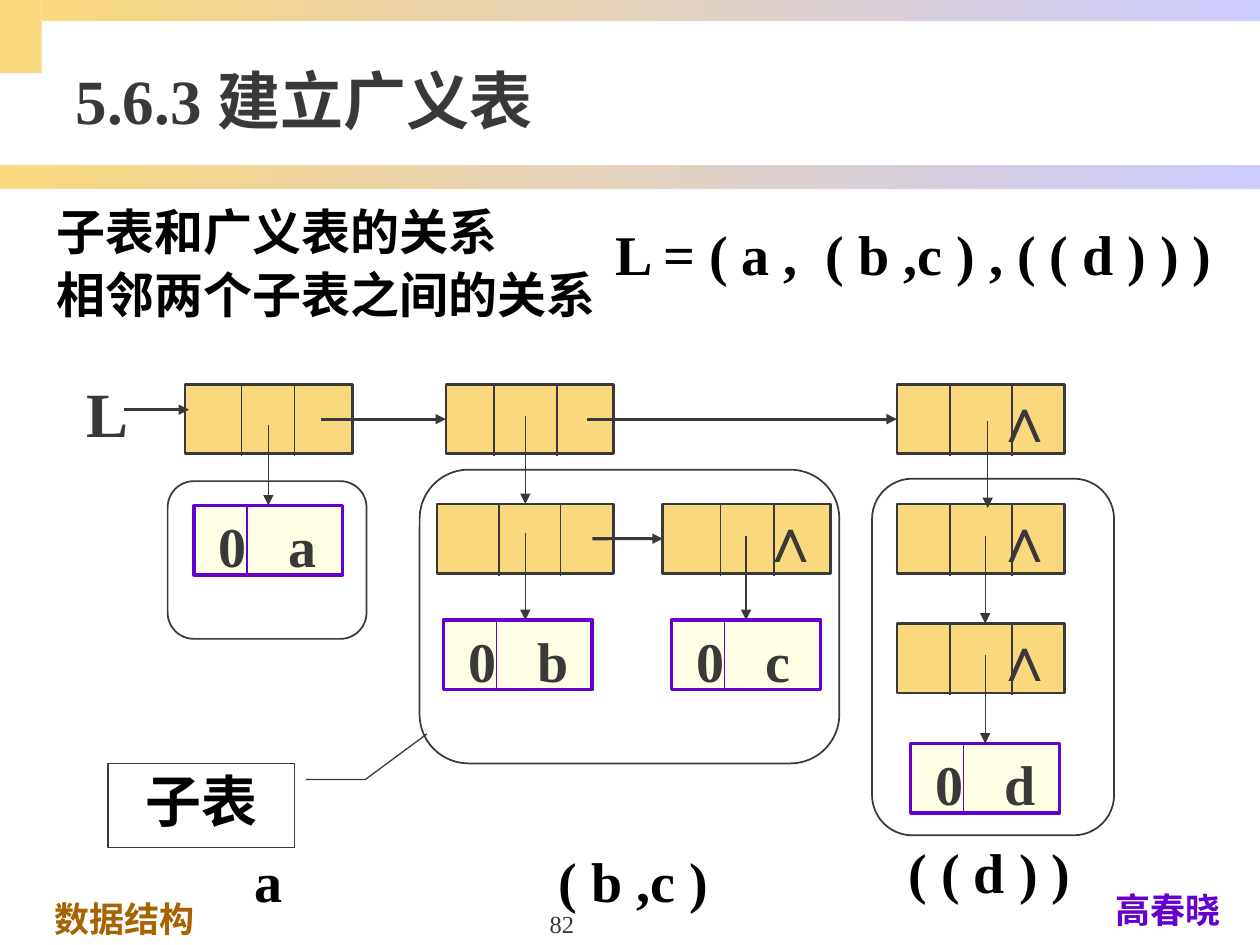
from lxml import etree
from pptx import Presentation, util as u
from pptx.dml.color import RGBColor
from pptx.enum import shapes, text
from pptx.oxml.ns import qn

COLORS = {"gold": "F9D87E", "lilac": "CCCCFF", "cream": "FFFFCC", "purple": "6600CC",
          "ink": "393939", "black": "000000", "brown": "A66300"}
FONT = "Times New Roman"
NODE_W, CELL_H, ATOM_W = 3.38, 1.4, 3.0
LEFT, CENTER, RIGHT = text.PP_ALIGN.LEFT, text.PP_ALIGN.CENTER, text.PP_ALIGN.RIGHT
KIND = shapes.MSO_SHAPE


def rgb(name):
    """Return the named colour."""
    return RGBColor.from_string(COLORS[name])


def cm(*values):
    """Turn numbers into centimetre lengths."""
    return [u.Cm(v) for v in values]


def write(sp, lines, size, color="black", bold=True, align=LEFT, before=5, spacing=None, **frame):
    """Fill a shape with formatted lines."""
    tf = sp.text_frame
    for key, value in {"word_wrap": True, "auto_size": text.MSO_AUTO_SIZE.NONE, **frame}.items():
        setattr(tf, key, value)
    tf.text = lines
    for p in tf.paragraphs:
        form = {"alignment": align, "space_before": u.Pt(before), "line_spacing": spacing}
        for key, value in form.items():
            setattr(p, key, value)
        for r in p.runs:
            for key, value in {"name": FONT, "size": u.Pt(size), "bold": bold}.items():
                setattr(r.font, key, value)
            r.font.color.rgb = rgb(color)


def label(s, box, words, size, color="black", **form):
    """Add a text box."""
    write(s.shapes.add_textbox(*cm(*box)), words, size, color, **form)


def shape(s, kind, box, fill=None, line=None, width=1):
    """Add a preset shape without shadow."""
    sp = s.shapes.add_shape(kind, *cm(*box))
    sp.shadow.inherit = False
    if fill:
        sp.fill.solid()
        sp.fill.fore_color.rgb = rgb(fill)
    else:
        sp.fill.background()
    if line:
        sp.line.color.rgb = rgb(line)
        sp.line.width = u.Pt(width)
    else:
        sp.line.fill.background()
    return sp


def line(s, x1, y1, x2, y2, color="ink", width=0.75, arrow=False, target=None, site=0):
    """Draw a line, optionally with an arrowhead joined to a target."""
    c = s.shapes.add_connector(shapes.MSO_CONNECTOR.STRAIGHT, *cm(x1, y1, x2, y2))
    c.line.color.rgb = rgb(color)
    c.line.width = u.Pt(width)
    if arrow:
        etree.SubElement(c.line._get_or_add_ln(), qn("a:tailEnd"), type="triangle")
    etree.SubElement(c._element.spPr, qn("a:effectLst"))
    if target is not None:
        c.end_connect(target, site)


def node(s, x, y, dividers, w=NODE_W, nil=False):
    """Draw a list node of three fields."""
    sp = shape(s, KIND.RECTANGLE, (x, y, w, CELL_H), "gold", "ink", 1.5)
    for d in dividers:
        line(s, x + d, y, x + d, y + CELL_H + 0.05)
    if nil:
        label(s, (x + 2.2, y - 0.22, 1.27, 1.78), "∧", 36, "ink", bold=False,
              align=RIGHT, word_wrap=False)
    return sp


def atom(s, x, y, letter):
    """Draw an atom node with tag 0 and its letter."""
    sp = shape(s, KIND.RECTANGLE, (x, y, ATOM_W, CELL_H), "cream", "purple", 2)
    etree.SubElement(next(sp._element.spPr.iter(qn("a:srgbClr"))), qn("a:alpha"), val="50000")
    write(sp, f"0\t{letter}", 32, "ink", margin_left=u.Cm(0.5), margin_right=0,
          vertical_anchor=text.MSO_ANCHOR.TOP)
    tabs = etree.SubElement(sp.text_frame.paragraphs[0]._p.get_or_add_pPr(), qn("a:tabLst"))
    etree.SubElement(tabs, qn("a:tab"), pos=str(u.Cm(1.4)), algn="l")
    line(s, x + 1.07, y, x + 1.07, y + CELL_H, "purple")
    return sp


def panel(s, box):
    """Draw the rounded outline of a sublist."""
    shape(s, KIND.FLOWCHART_ALTERNATE_PROCESS, box, line="ink")
    return box[:2]


def backdrop(s, box):
    """Draw the corner block and the gradient bars."""
    x, y, w, h = box
    shape(s, KIND.RECTANGLE, (x, y, 0.84, 1.47), "gold")
    for bar in ((x, y + 3.33, w, 0.48), (x + 0.84, y, w - 0.84, 0.43)):
        sp = shape(s, KIND.RECTANGLE, bar)
        sp.fill.gradient()
        sp.fill.gradient_angle = 0
        for stop, name, pos in zip(sp.fill.gradient_stops, ("gold", "lilac"), (0, 1)):
            stop.color.rgb = rgb(name)
            stop.position = pos


def placeholder(sp, box, lines, size, **form):
    """Move and format a template placeholder."""
    for key, value in zip(("left", "top", "width", "height"), cm(*box)):
        setattr(sp, key, value)
    write(sp, lines, size, **form)


def heading(s, box):
    """Place the title, the list of relations and the list expression."""
    x, y, w, h = box
    title, body = s.placeholders
    placeholder(title, (x + 0.38, y, w, 2.72), "5.6.3 建立广义表", 36, color="ink", before=0,
                vertical_anchor=text.MSO_ANCHOR.MIDDLE)
    placeholder(body, (x, y + 3.3, 22, 3.25), "子表和广义表的关系\n相邻两个子表之间的关系", 28, before=2)
    for p in body.text_frame.paragraphs:
        pPr = p._p.get_or_add_pPr()
        pPr.set("marL", str(u.Cm(0.97)))
        pPr.set("indent", str(u.Cm(-0.97)))
        etree.SubElement(pPr, qn("a:buNone"))
    label(s, (x + 11.2, y + 3.48, 12.6, 1.96), "L = ( a ,  ( b ,c ) , ( ( d ) ) )", 32,
          align=RIGHT, word_wrap=False, margin_top=u.Cm(0.3))


def atom_panel(s, box):
    """Draw the sublist a and return its entry."""
    x, y = panel(s, box)
    return atom(s, x + 0.53, y + 0.49, "a")


def pair_panel(s, box):
    """Draw the sublist (b,c) and return its entry."""
    x, y = panel(s, box)
    first = node(s, x + 0.35, y + 0.69, (1.25, 2.49), 3.56)
    second = node(s, x + 4.9, y + 0.69, (1.17, 2.24), nil=True)
    atom(s, x + 0.48, y + 3.03, "b")
    c = atom(s, x + 5.08, y + 3.03, "c")
    line(s, x + 3.48, y + 1.39, x + 4.9, y + 1.39, width=1.75, arrow=True, target=second, site=1)
    line(s, x + 2.13, y + 1.27, x + 2.13, y + 3.03, arrow=True)
    line(s, x + 6.58, y + 1.33, x + 6.58, y + 3.03, arrow=True, target=c)
    return first


def nested_panel(s, box):
    """Draw the sublist ((d))."""
    x, y = panel(s, box)
    for top in (0.51, 2.92):
        node(s, x + 0.5, y + top, (1.07, 2.32), nil=True)
    d = atom(s, x + 0.78, y + 5.34, "d")
    line(s, x + 2.28, y + 1.15, x + 2.28, y + 2.92, arrow=True)
    line(s, x + 2.28, y + 3.56, x + 2.28, y + 5.34, arrow=True, target=d)


def head_row(s, box, entry_a, entry_pair):
    """Draw L with its top nodes and link them to the sublists."""
    x, y, w, h = box
    label(s, (x, y, 1.35, h), "L", 36, "ink", align=RIGHT, word_wrap=False)
    top, mid = y + 0.33, y + 1.03
    node(s, x + 2.23, top, (1.14, 2.21))
    second = node(s, x + 7.49, top, (0.97, 2.24))
    third = node(s, x + 16.58, top, (1.07, 2.32), nil=True)
    line(s, x + 1.01, y + 0.84, x + 2.31, y + 0.84, width=1.75, arrow=True)
    for start, target in ((4.98, second), (10.34, third)):
        line(s, x + start, mid, x + w, mid, width=1.75, arrow=True, target=target, site=1)
    for dx, dy, target in ((3.91, 1.14, entry_a), (9.09, 0.96, entry_pair), (18.41, 1.06, None)):
        line(s, x + dx, y + dy, x + dx, y + 2.82, arrow=True, target=target)


def captions(s, box):
    """Place the callout and the names of the three sublists."""
    x, y, w, h = box
    sp = shape(s, KIND.LINE_CALLOUT_2, (x, y, 3.76, 1.7), line="ink", width=0.75)
    for i, value in enumerate((0.19, 1.06, 0.19, 1.38, -0.35, 1.71)):
        sp.adjustments[i] = value
    write(sp, "子表", 32, align=CENTER, spacing=0.85, vertical_anchor=text.MSO_ANCHOR.MIDDLE)
    for dx, width, words, inset in ((2.69, 1.07, "a", 0.3), (8.82, 3.53, "( b ,c )", 0.3),
                                    (15.6, 4.34, "( ( d ) )", 0.13)):
        label(s, (x + dx, y + 1.37, width, 1.96), words, 32, align=CENTER, word_wrap=False,
              margin_top=u.Cm(inset))


def footer(s, box):
    """Place the course name, page number and author."""
    x, y, w, h = box
    label(s, (x, y + 0.18, 8.89, 1.09), "数据结构", 20, "brown")
    label(s, (x + 7.85, y, 5.28, h), "82", 14, "ink", bold=False, align=CENTER, before=0,
          vertical_anchor=text.MSO_ANCHOR.BOTTOM)
    label(s, (x + w - 3.3, y, 3.3, 1.09), "高春晓", 20, "purple", align=CENTER)


def main():
    """Build and save the slide."""
    prs = Presentation()
    prs.slide_width, prs.slide_height = cm(25.4, 19.05)
    s = prs.slides.add_slide(prs.slide_layouts[1])
    backdrop(s, (0, 0, 25.4, 19.05))
    heading(s, (0.89, 0.64, 24.13, 6.55))
    a = atom_panel(s, (3.38, 9.7, 4.01, 3.18))
    pair = pair_panel(s, (8.46, 9.47, 8.46, 5.92))
    nested_panel(s, (17.58, 9.65, 4.88, 7.19))
    head_row(s, (1.5, 7.42, 19.96, 1.78), a, pair)
    captions(s, (2.18, 15.39, 19.94, 3.33))
    footer(s, (0.84, 17.78, 24.36, 1.27))
    prs.save("out.pptx")


if __name__ == "__main__":
    main()
